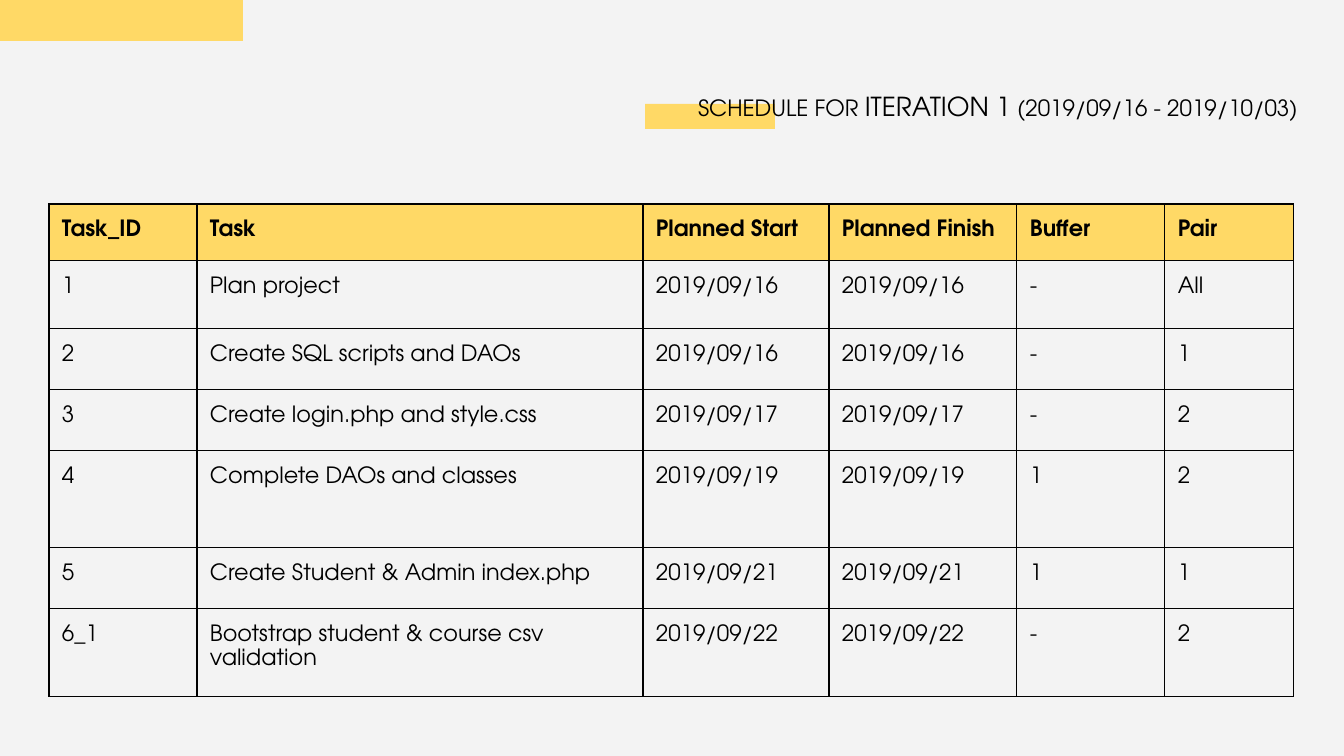
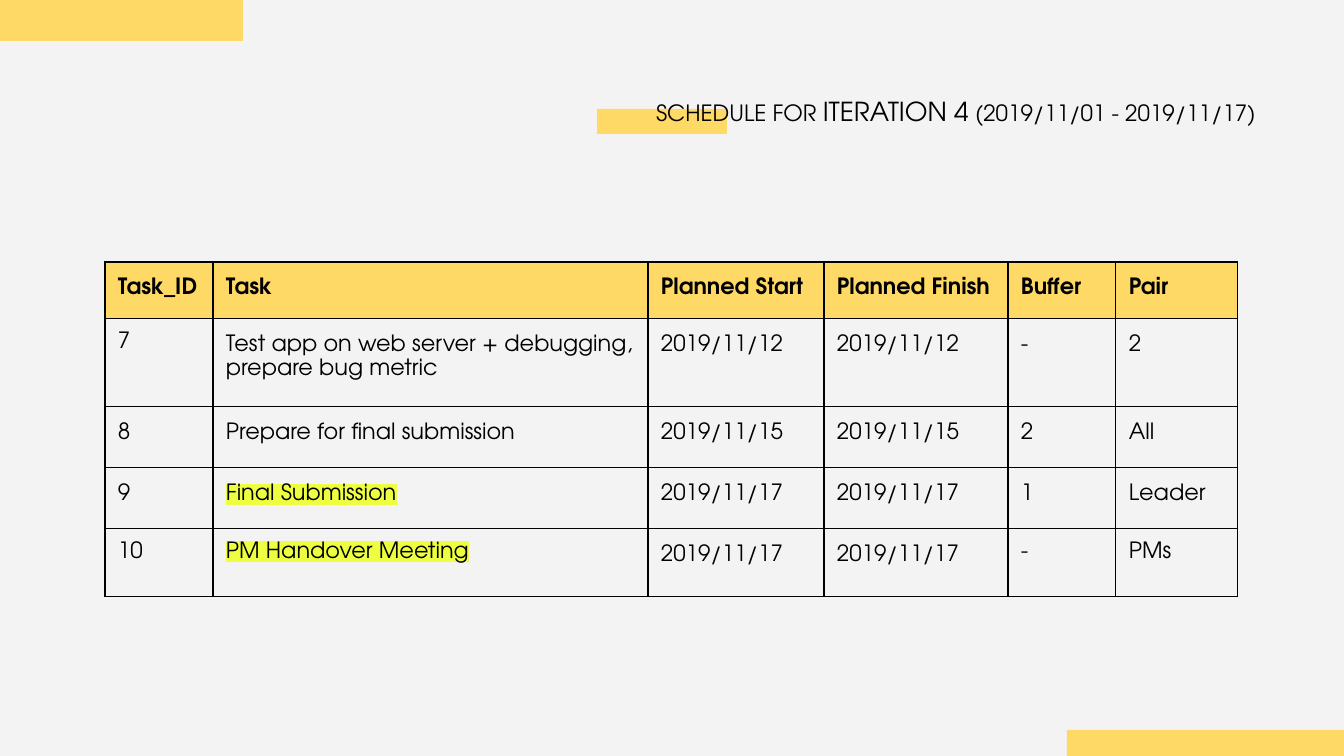
from lxml.etree import SubElement
from pptx import Presentation
from pptx.dml.color import RGBColor
from pptx.enum.shapes import MSO_SHAPE as Shape
from pptx.enum.text import MSO_ANCHOR as Anchor, PP_ALIGN as Align
from pptx.oxml import parse_xml
from pptx.oxml.ns import nsdecls, qn
from pptx.util import Emu, Pt

PAPER = RGBColor(0xF3, 0xF3, 0xF3)
YELLOW = RGBColor(0xFF, 0xD9, 0x66)
BLACK = RGBColor(0x00, 0x00, 0x00)
MARKER = RGBColor(0xEE, 0xFF, 0x41)
FONT = "TeX Gyre Adventor"
EMU_PER_PX = 914400 / 134.4
INSET = 13
HEADERS = ["Task_ID", "Task", "Planned Start", "Planned Finish", "Buffer", "Pair"]

# Each task: id, name, day of start and finish, buffer, pair
ITERATION_1 = [
    ("1", "Plan project", "2019/09/16", "-", "All"),
    ("2", "Create SQL scripts and DAOs", "2019/09/16", "-", "1"),
    ("3", "Create login.php and style.css", "2019/09/17", "-", "2"),
    ("4", "Complete DAOs and classes", "2019/09/19", "1", "2"),
    ("5", "Create Student & Admin index.php", "2019/09/21", "1", "1"),
    ("6_1", "Bootstrap student & course csv validation", "2019/09/22", "-", "2"),
]
ITERATION_4 = [
    ("7", "Test app on web server + debugging, prepare bug metric", "2019/11/12", "-", "2"),
    ("8", "Prepare for final submission", "2019/11/15", "2", "All"),
    ("9", "Final Submission", "2019/11/17", "1", "Leader"),
    ("10", "PM Handover Meeting", "2019/11/17", "-", "PMs"),
]
MILESTONES = {"Final Submission", "PM Handover Meeting"}
# (row, column) of the iteration 4 cells with single line spacing
SINGLE_SPACED = {(1, 0), (4, 0), (4, 1), (4, 4), (4, 5)}


def px(length):
    return Emu(round(length * EMU_PER_PX))


def style_font(font, size, bold=False):
    font.name = FONT
    font.size = Pt(size)
    font.bold = bold
    font.color.rgb = BLACK


def set_margins(target):
    """Give a text frame or a table cell the same inset on every side."""
    target.margin_left = target.margin_right = px(INSET)
    target.margin_top = target.margin_bottom = px(INSET)


def add_page(deck):
    page = deck.slides.add_slide(deck.slide_layouts[6])
    page.background.fill.solid()
    page.background.fill.fore_color.rgb = PAPER
    return page


def add_bar(page, left, top, width, height):
    bar = page.shapes.add_shape(Shape.RECTANGLE, px(left), px(top), px(width), px(height))
    bar.shadow.inherit = False
    bar.fill.solid()
    bar.fill.fore_color.rgb = YELLOW
    bar.line.fill.background()


def add_corner_band(page, left, top):
    add_bar(page, left, top, 310, 112)


def add_title(page, left, top, iteration, period):
    box = page.shapes.add_textbox(px(left), px(top), px(923), px(51))
    frame = box.text_frame
    frame.word_wrap = True
    frame.vertical_anchor = Anchor.BOTTOM
    set_margins(frame)
    para = frame.paragraphs[0]
    para.alignment = Align.RIGHT
    for text, size in (("SCHEDULE FOR ", 12), (f"ITERATION {iteration}", 14), (f" ({period})", 12)):
        span = para.add_run()
        span.text = text
        style_font(span.font, size)


def highlight(span):
    mark = parse_xml(f'<a:highlight {nsdecls("a")}><a:srgbClr val="{MARKER}"/></a:highlight>')
    span.font.fill.fore_color.rgb = BLACK
    span.font._element.find(qn("a:solidFill")).addnext(mark)


def add_borders(cell):
    properties = cell._tc.get_or_add_tcPr()
    for side in ("a:lnL", "a:lnR", "a:lnT", "a:lnB"):
        line = SubElement(properties, qn(side), w=str(Pt(0.75)))
        fill = SubElement(line, qn("a:solidFill"))
        SubElement(fill, qn("a:srgbClr"), val=str(BLACK))


def fill_cell(cell, text, header, single_spaced):
    set_margins(cell)
    add_borders(cell)
    if header:
        cell.fill.solid()
        cell.fill.fore_color.rgb = YELLOW
    else:
        cell.fill.background()
    cell.text_frame.text = text
    para = cell.text_frame.paragraphs[0]
    if not single_spaced:
        para.line_spacing = 1.15
    span = para.runs[0]
    style_font(span.font, 12, header)
    if text in MILESTONES:
        highlight(span)


def add_schedule(page, left, top, widths, heights, tasks, single_spaced=frozenset()):
    rows = [HEADERS] + [(number, task, day, day, buffer, pair)
                        for number, task, day, buffer, pair in tasks]
    table = page.shapes.add_table(len(rows), len(HEADERS), px(left), px(top),
                                  px(sum(widths)), px(sum(heights))).table
    table.first_row = table.horz_banding = False
    for column, width in zip(table.columns, widths):
        column.width = px(width)
    for row, height in zip(table.rows, heights):
        row.height = px(height)
    for r, texts in enumerate(rows):
        for c, text in enumerate(texts):
            fill_cell(table.cell(r, c), text, r == 0, (r, c) in single_spaced)


def main():
    deck = Presentation()
    deck.slide_width, deck.slide_height = px(1344), px(756)

    page = add_page(deck)
    add_bar(page, 645, 104, 130, 25)
    add_title(page, 388, 84, 1, "2019/09/16 - 2019/10/03")
    add_corner_band(page, -67, -71)
    add_schedule(page, 49, 204, [148, 446, 186, 188, 148, 129],
                 [53, 68, 61, 61, 97, 61, 75], ITERATION_1)

    page = add_page(deck)
    add_bar(page, 597, 109, 130, 25)
    add_title(page, 346, 89, 4, "2019/11/01 - 2019/11/17")
    add_schedule(page, 105, 262, [108, 435, 176, 184, 108, 122],
                 [53, 75, 61, 61, 68], ITERATION_4, SINGLE_SPACED)
    add_corner_band(page, -67, -71)
    add_corner_band(page, 1067, 730)

    deck.save("out.pptx")


if __name__ == "__main__":
    main()
